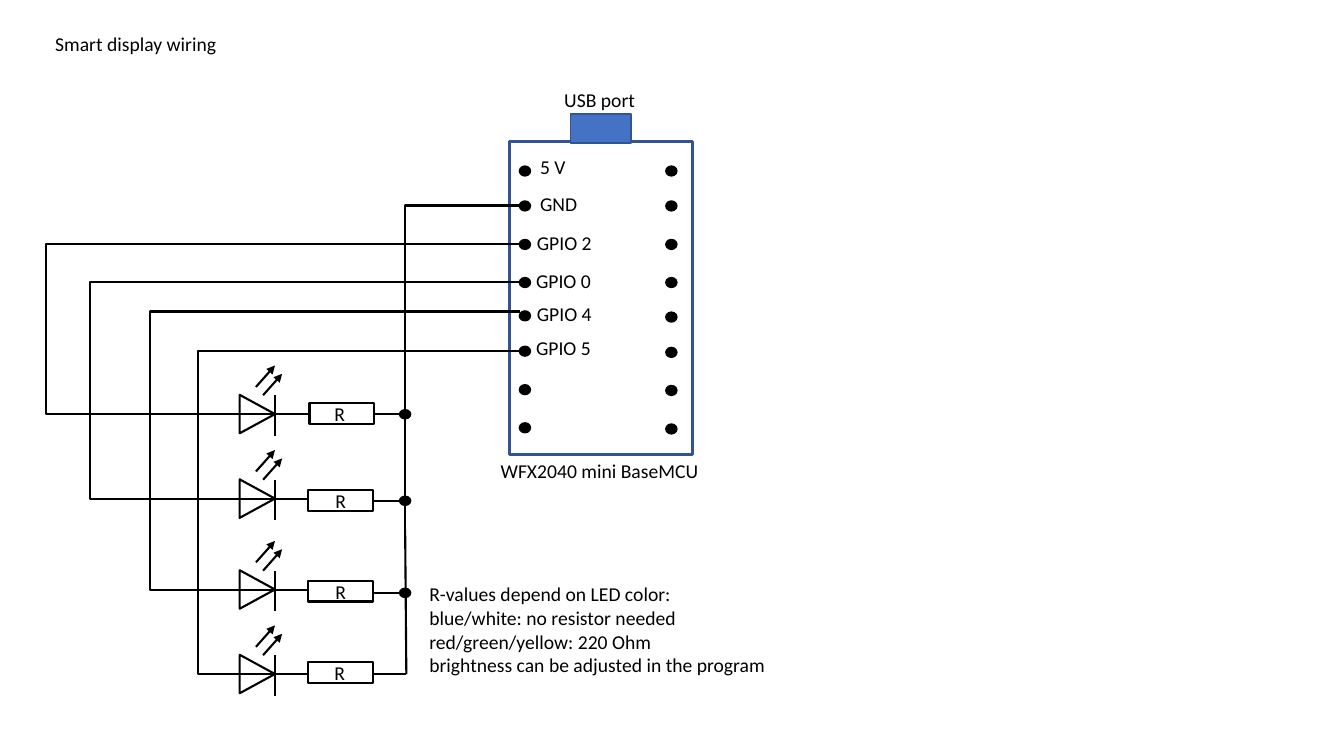
from dataclasses import dataclass

from lxml.etree import SubElement
from pptx import Presentation
from pptx.dml.color import RGBColor
from pptx.enum.shapes import MSO_CONNECTOR, MSO_SHAPE
from pptx.oxml.ns import qn
from pptx.shapes.autoshape import Shape
from pptx.shapes.connector import Connector
from pptx.slide import Slide
from pptx.util import Cm, Pt

BLACK = "000000"
BOARD_BLUE = "325491"
PORT_BLUE = "4472C4"
LEFT_PIN_X = 13.23
RIGHT_PIN_X = 16.92
WIRE_START_X = 13.11
GROUND_X = 10.21
LED_START_X = 6.05


@dataclass(frozen=True)
class Pin:
    left_y: float
    right_y: float
    label: str = ""
    label_x: float = 0
    label_y: float = 0


@dataclass(frozen=True)
class Branch:
    pin_y: float
    turn_x: float
    led_y: float
    resistor_x: float
    resistor_y: float
    letter_x: float
    output_y: float
    junction: bool = True


PINS = [
    Pin(4.31, 4.31, "5 V", 13.36, 3.78),
    Pin(5.19, 5.19, "GND", 13.36, 4.7),
    Pin(6.16, 6.16, "GPIO 2", 13.28, 5.69),
    Pin(7.12, 7.12, "GPIO 0", 13.26, 6.65),
    Pin(7.96, 7.99, "GPIO 4", 13.28, 7.49),
    Pin(8.85, 8.88, "GPIO 5", 13.26, 8.33),
    Pin(9.82, 9.84),
    Pin(10.78, 10.81),
]

BRANCHES = [
    Branch(6.15, 1.17, 10.44, 7.8, 10.16, 8.18, 10.44),
    Branch(7.11, 2.26, 12.57, 7.77, 12.34, 8.2, 12.62),
    Branch(7.85, 3.78, 14.86, 7.77, 14.63, 8.2, 14.94),
    Branch(8.84, 5.0, 16.99, 7.77, 16.69, 8.18, 16.99, junction=False),
]


def color(value: str) -> RGBColor:
    return RGBColor.from_string(value)


def add_box(slide: Slide, kind: MSO_SHAPE, left: float, top: float, width: float,
            height: float, *, fill: str = "", line: str = BLACK,
            weight: float = 1.5, rotation: float = 0) -> Shape:
    shape = slide.shapes.add_shape(kind, Cm(left), Cm(top), Cm(width), Cm(height))
    shape.shadow.inherit = False
    shape.rotation = rotation
    if fill:
        shape.fill.solid()
        shape.fill.fore_color.rgb = color(fill)
    else:
        shape.fill.background()
    shape.line.color.rgb = color(line)
    shape.line.width = Pt(weight)
    return shape


def add_dot(slide: Slide, center_x: float, center_y: float, height: float) -> Shape:
    width = 0.28
    return add_box(slide, MSO_SHAPE.OVAL, center_x - width / 2, center_y - height / 2,
                   width, height, fill=BLACK, weight=1)


def add_text(slide: Slide, text: str, left: float, top: float, width: float, *,
             height: float = 0.86, wrap: bool = True, size: float = 14,
             font: str = "Calibri", text_color: str = BLACK) -> Shape:
    shape = slide.shapes.add_textbox(Cm(left), Cm(top), Cm(width), Cm(height))
    shape.text_frame.word_wrap = wrap
    shape.text_frame.text = text
    for paragraph in shape.text_frame.paragraphs:
        for run in paragraph.runs:
            run.font.name = font
            run.font.size = Pt(size)
            run.font.color.rgb = color(text_color)
    return shape


def add_wire(slide: Slide, start_x: float, start_y: float, end_x: float, end_y: float, *,
             turn_x: float | None = None, arrow: bool = False) -> Connector:
    kind = MSO_CONNECTOR.STRAIGHT if turn_x is None else MSO_CONNECTOR.ELBOW
    connector = slide.shapes.add_connector(
        kind, Cm(start_x), Cm(start_y), Cm(end_x), Cm(end_y))
    connector.line.color.rgb = color(BLACK)
    connector.line.width = Pt(1.5)
    properties = connector._element.spPr
    if arrow:
        SubElement(properties.find(qn("a:ln")), qn("a:tailEnd"), type="triangle")
    if turn_x is not None:
        share = round((start_x - turn_x) / (start_x - end_x) * 100000)
        adjustments = properties.find(qn("a:prstGeom")).get_or_add_avLst()
        SubElement(adjustments, qn("a:gd"), name="adj1", fmla=f"val {share}")
    SubElement(properties, qn("a:effectLst"))
    return connector


def add_board(slide: Slide) -> None:
    add_box(slide, MSO_SHAPE.RECTANGLE, 12.83, 3.56, 4.62, 7.9,
            line=BOARD_BLUE, weight=2.25)
    add_text(slide, "WFX2040 mini BaseMCU", 12.37, 11.43, 5.59, wrap=False)
    add_box(slide, MSO_SHAPE.RECTANGLE, 14.38, 2.87, 1.52, 0.74,
            fill=PORT_BLUE, line=BOARD_BLUE, weight=1)
    add_text(slide, "USB port", 13.97, 2.08, 2.31, wrap=False)
    for pin in PINS:
        add_dot(slide, LEFT_PIN_X, pin.left_y, 0.25)
        add_dot(slide, RIGHT_PIN_X, pin.right_y, 0.25)
        if pin.label:
            add_text(slide, pin.label, pin.label_x, pin.label_y, 2.5)


def add_led(slide: Slide, y: float) -> None:
    add_box(slide, MSO_SHAPE.ISOSCELES_TRIANGLE, 6.0, y - 0.45, 0.97, 0.89, rotation=90)
    add_wire(slide, 5.54, y, 7.26, y)
    add_wire(slide, 6.93, y - 0.48, 6.93, y + 0.54)
    for start_x, start_y in ((6.45, y - 0.69), (6.63, y - 0.48)):
        add_wire(slide, start_x, start_y, start_x + 0.48, start_y - 0.54, arrow=True)


def add_branch(slide: Slide, branch: Branch) -> None:
    resistor_width = 1.63
    add_led(slide, branch.led_y)
    add_wire(slide, WIRE_START_X, branch.pin_y, LED_START_X, branch.led_y,
             turn_x=branch.turn_x)
    add_box(slide, MSO_SHAPE.RECTANGLE, branch.resistor_x, branch.resistor_y,
            resistor_width, 0.53)
    add_wire(slide, 7.14, branch.led_y, branch.resistor_x, branch.led_y)
    add_wire(slide, branch.resistor_x + resistor_width, branch.output_y,
             GROUND_X + 0.02, branch.output_y)
    if branch.junction:
        add_dot(slide, GROUND_X, branch.output_y, 0.23)
    add_text(slide, "R", branch.letter_x, branch.resistor_y - 0.15, 2.44)


def main() -> None:
    presentation = Presentation()
    presentation.slide_width = Cm(33.87)
    presentation.slide_height = Cm(19.05)
    slide = presentation.slides.add_slide(presentation.slide_layouts[6])

    add_text(slide, "Smart display wiring", 1.14, 0.69, 4.62, wrap=False)
    add_board(slide)
    add_wire(slide, WIRE_START_X, 5.18, GROUND_X, 13.84, turn_x=GROUND_X)
    add_wire(slide, GROUND_X, 13.34, GROUND_X + 0.03, 16.99)
    for branch in BRANCHES:
        add_branch(slide, branch)
    add_text(slide,
             "R-values depend on LED color:\vblue/white: no resistor needed\n"
             "red/green/yellow: 220 Ohm\vbrightness can be adjusted in the program",
             10.57, 14.55, 9.14, height=2.64)

    presentation.save("out.pptx")


if __name__ == "__main__":
    main()
